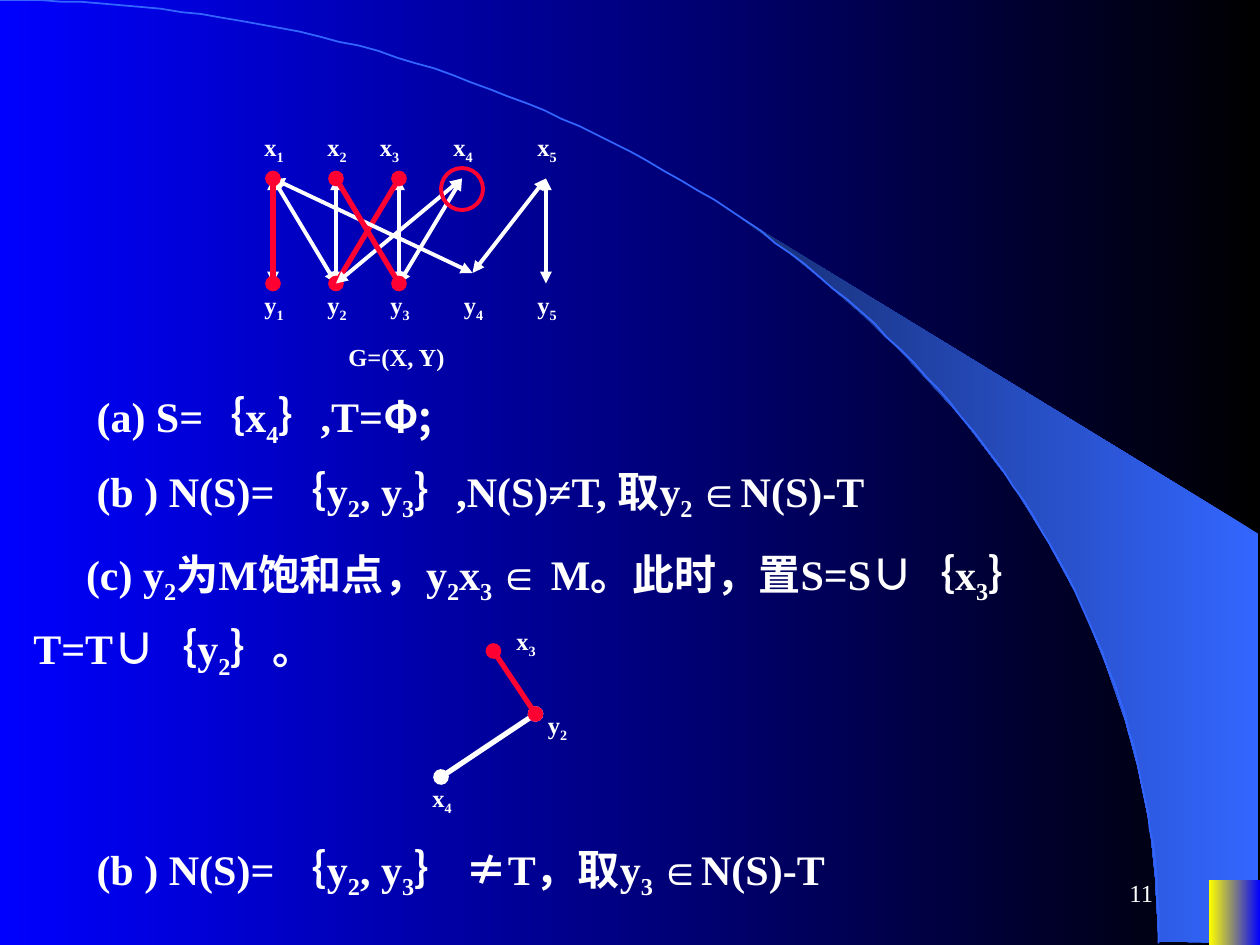
import math

import pptx
import pptx.dml.color
import pptx.enum.shapes
import pptx.enum.text
import pptx.oxml.ns
import pptx.util
from lxml import etree

Pt = pptx.util.Pt
qn = pptx.oxml.ns.qn
COLORS = {
    "white": "FFFFFF", "red": "FF0033", "black": "000000", "blue": "0000FF",
    "sky": "3366FF", "navy": "172F75", "yellow": "FFFF00",
}
RGB = {k: pptx.dml.color.RGBColor.from_string(v) for k, v in COLORS.items()}
LATIN, CJK = "Times New Roman", "Noto Sans CJK SC"

prs = pptx.Presentation()
prs.slide_width, prs.slide_height = Pt(720), Pt(540)
s = prs.slides.add_slide(prs.slide_layouts[6])


def add_text(x, y, w, h, text, size=14, bold=True, indent=0):
    """Add a text box; every second part between bars is a subscript."""
    tf = s.shapes.add_textbox(Pt(x), Pt(y), Pt(w), Pt(h)).text_frame
    tf.word_wrap = True
    tf.margin_left = Pt(7.2 + indent)
    p = tf.paragraphs[0]
    for i, part in enumerate(text.split("|")):
        if not part:
            continue
        r = p.add_run()
        r.text = part
        r.font.size, r.font.bold = Pt(size), bold
        r.font.color.rgb = RGB["white"]
        r.font.name = CJK if part in ("Φ;", "∪") else LATIN
        rpr = r._r.get_or_add_rPr()
        etree.SubElement(rpr, qn("a:ea"), typeface=CJK)
        if i % 2:
            rpr.set("baseline", "-25000")
    return tf


def add_edge(start, end, color, width, tip):
    """Add a line with the same tip at both ends."""
    c = s.shapes.add_connector(pptx.enum.shapes.MSO_CONNECTOR.STRAIGHT,
                               *(Pt(v) for v in (*start, *end)))
    c.line.color.rgb, c.line.width = RGB[color], Pt(width)
    ln = c.line._get_or_add_ln()
    for tag in ("a:headEnd", "a:tailEnd"):
        etree.SubElement(ln, qn(tag), type=tip)
    etree.SubElement(c._element.spPr, qn("a:effectLst"))


# Backdrop: wedge, arc and corner block
wedge_points = [
    (662.4, 538.5), (719.3, 539.3), (719.3, 304.6), (424.1, 124.6),
    (449.3, 143.3), (470.2, 159.8), (493.2, 180), (515.5, 201.6),
    (548.6, 237.6), (578.2, 276.5), (599, 310.3), (617.8, 344.9),
    (632.2, 380.2), (643, 411.8), (650.2, 438.5), (657.4, 472.3),
    (660.2, 501.1),
]
fb = s.shapes.build_freeform(*wedge_points[0], scale=Pt(1))
fb.add_line_segments(wedge_points[1:], close=True)
wedge = fb.convert_to_shape()

arc_points = [(662.4 * math.sin(a), 539.3 * (1 - math.cos(a)))
              for a in (math.pi / 2 * i / 90 for i in range(91))]
fb = s.shapes.build_freeform(*arc_points[0], scale=Pt(1))
fb.add_line_segments(arc_points[1:], close=False)
arc = fb.convert_to_shape()
arc.shadow.inherit = False
arc.fill.background()
arc.line.color.rgb, arc.line.width = RGB["sky"], Pt(1)

corner = s.shapes.add_shape(pptx.enum.shapes.MSO_SHAPE.RECTANGLE,
                            Pt(691), Pt(502.8), Pt(29), Pt(37.2))
for sp in (wedge, corner):
    sp.shadow.inherit = False
    sp.line.fill.background()

for fill, first, last in ((s.background.fill, "black", "blue"),
                          (wedge.fill, "sky", "navy"),
                          (corner.fill, "blue", "yellow")):
    fill.gradient()
    fill.gradient_angle = 180
    for stop, color in zip(fill.gradient_stops, (first, last)):
        stop.color.rgb = RGB[color]

# Bipartite graph: vertices, edges, labels
columns = (156, 192, 228, 264, 312)
x_points = {i: (x, 102) for i, x in enumerate(columns, 1)}
y_points = {i: (x, 162) for i, x in enumerate(columns, 1)}
y_points[4] = (270, 156)
matching = {(3, 2), (2, 3)}
for i, j in ((1, 1), (2, 2), (3, 3), (5, 5), (1, 2), (3, 2),
             (5, 4), (1, 4), (4, 3), (4, 2), (2, 3)):
    style = ("red", 3, "oval") if (i, j) in matching else ("white", 2.25, "triangle")
    add_edge(x_points[i], y_points[j], *style)
add_edge(x_points[1], y_points[1], "red", 3, "oval")

for name, top, lefts in (("x", 72, (144, 180, 210, 252, 300)),
                         ("y", 162, (144, 180, 216, 258, 300))):
    for i, left in enumerate(lefts, 1):
        add_text(left, top, 31, 26.6, f"{name}|{i}")
add_text(192, 192, 79.2, 24.5, "G=(X, Y)")

ring = s.shapes.add_shape(pptx.enum.shapes.MSO_SHAPE.OVAL,
                          Pt(252), Pt(96), Pt(24), Pt(24))
ring.shadow.inherit = False
ring.fill.background()
ring.line.color.rgb, ring.line.width = RGB["red"], Pt(2.25)

# Steps of the algorithm
for x, y, w, indent, text in (
    (18, 219.6, 672, 30, "(a) S=｛x|4|｝,T=||Φ;"),
    (18, 262, 678, 30, "(b ) N(S)= ｛y|2|, y|3|｝,N(S)≠T, 取y|2 |∈N(S)-T"),
    (12, 309.6, 654, 30,
     "(c) y|2|为M饱和点，y|2|x|3 |∈ M。此时，置S=S||∪||｛x|3|｝"),
    (12, 352, 654, 0, "T=T||∪||｛y|2|｝。"),
    (18, 478, 678, 30, "(b ) N(S)= ｛y|2|, y|3|｝ ≠T，取y|3 |∈N(S)-T"),
):
    tf = add_text(x, y, w, 40.3, text, size=24, indent=indent)
    tf.vertical_anchor = pptx.enum.text.MSO_ANCHOR.MIDDLE

# Alternating tree
add_edge((252, 444), (306, 408), "white", 3, "oval")
add_edge((306, 408), (282, 372), "red", 3, "oval")
for x, y, text in ((240, 444, "x|4"), (306, 402, "y|2"), (288, 354, "x|3")):
    add_text(x, y, 43.2, 26.6, text)

tf = add_text(516, 492, 150, 36, "11", bold=False)
tf.vertical_anchor = pptx.enum.text.MSO_ANCHOR.MIDDLE
tf.paragraphs[0].alignment = pptx.enum.text.PP_ALIGN.RIGHT

prs.save("out.pptx")
